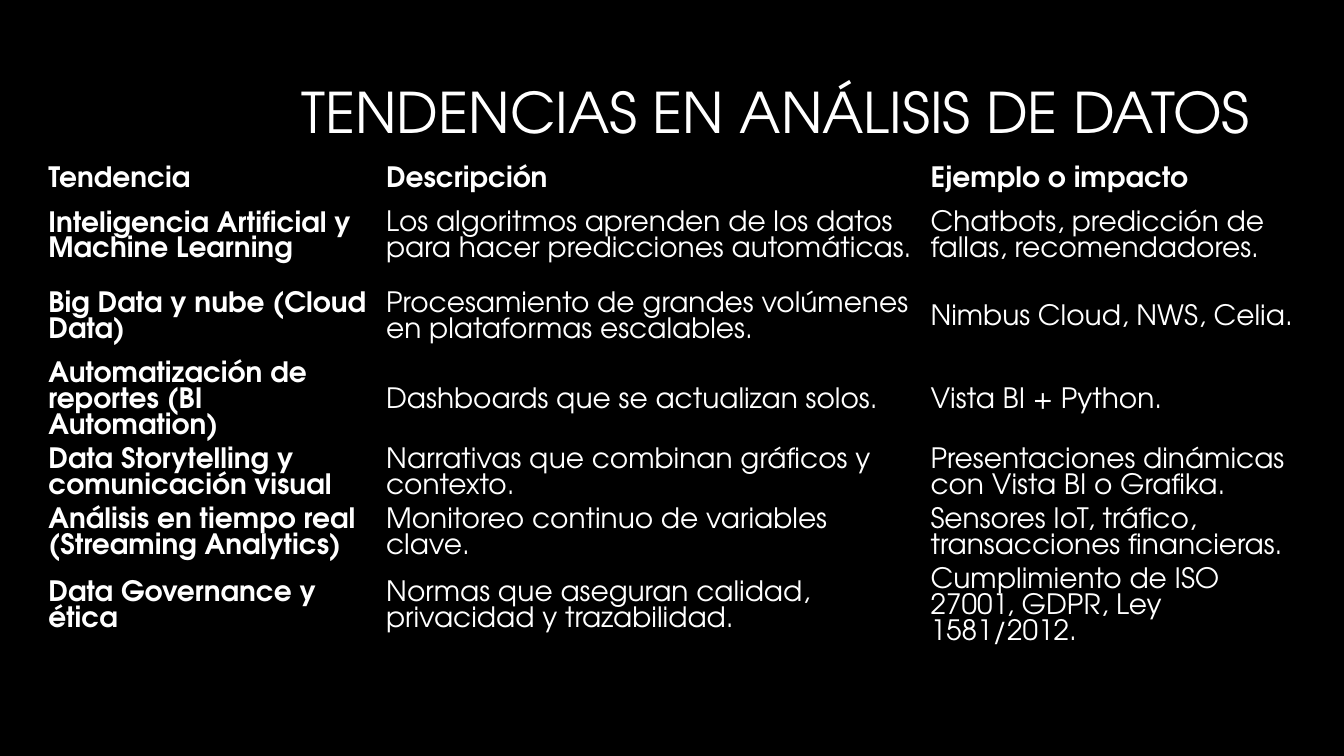
from pptx import Presentation
from pptx.dml.color import RGBColor as RGB
from pptx.enum.text import MSO_ANCHOR as ANCHOR, MSO_AUTO_SIZE as AUTO, PP_ALIGN as ALIGN
from pptx.oxml.ns import qn
from pptx.util import Cm, Pt

COLORS = {"background": "000000", "text": "FFFFFF"}
FONT = "TeX Gyre Adventor"
NO_GRID_STYLE = "{2D5ABB26-0587-4C30-8999-92F81FD0307C}"
CELL_FORMAT = {
    "margin_left": Cm(0.2), "margin_right": Cm(0.2),
    "margin_top": Cm(0.1), "margin_bottom": Cm(0.1),
    "vertical_anchor": ANCHOR.MIDDLE,
}

TITLE = "TENDENCIAS EN ANÁLISIS DE DATOS"
COLUMN_WIDTHS = [8.51, 13.72, 9.6]
ROW_HEIGHTS = [0.81, 2.03, 2.03, 1.42, 1.42, 1.42, 2.03]
TRENDS = [
    ("Tendencia", "Descripción", "Ejemplo o impacto"),
    ("Inteligencia Artificial y Machine Learning",
     "Los algoritmos aprenden de los datos para hacer predicciones automáticas.",
     "Chatbots, predicción de fallas, recomendadores."),
    ("Big Data y nube (Cloud Data)",
     "Procesamiento de grandes volúmenes en plataformas escalables.",
     "Nimbus Cloud, NWS, Celia."),
    ("Automatización de reportes (BI Automation)",
     "Dashboards que se actualizan solos.",
     "Vista BI + Python."),
    ("Data Storytelling y comunicación visual",
     "Narrativas que combinan gráficos y contexto.",
     "Presentaciones dinámicas con Vista BI o Grafika."),
    ("Análisis en tiempo real (Streaming Analytics)",
     "Monitoreo continuo de variables clave.",
     "Sensores IoT, tráfico, transacciones financieras."),
    ("Data Governance y ética",
     "Normas que aseguran calidad, privacidad y trazabilidad.",
     "Cumplimiento de ISO 27001, GDPR, Ley 1581/2012."),
]


def set_format(target, values):
    for name, value in values.items():
        setattr(target, name, value)


def write_text(tf, text, size, bold=False):
    p = tf.paragraphs[0]
    r = p.add_run()
    r.text = text
    set_format(r.font, {"name": FONT, "size": Pt(size), "bold": bold})
    r.font.color.rgb = RGB.from_string(COLORS["text"])
    return p


def add_title(slide, left, top, width, height):
    sp = slide.shapes.title
    set_format(sp, {"left": left, "top": top, "width": width, "height": height})
    tf = sp.text_frame
    set_format(tf, {"word_wrap": True, "auto_size": AUTO.NONE,
                    "vertical_anchor": ANCHOR.MIDDLE})
    p = write_text(tf, TITLE, 40)
    set_format(p, {"alignment": ALIGN.RIGHT, "line_spacing": 0.9})


def add_trend_table(slide, left, top, width, height):
    frame = slide.shapes.add_table(len(TRENDS), len(COLUMN_WIDTHS),
                                   left, top, width, height)
    table = frame.table
    set_format(table, {"first_row": False, "horz_banding": False})
    for style in frame.element.iter(qn("a:tableStyleId")):
        style.text = NO_GRID_STYLE

    # Column and row sizes
    for column, size in zip(table.columns, COLUMN_WIDTHS):
        column.width = Cm(size)
    for row, size in zip(table.rows, ROW_HEIGHTS):
        row.height = Cm(size)

    # Header row and first column are bold
    for i, trend in enumerate(TRENDS):
        for j, text in enumerate(trend):
            cell = table.cell(i, j)
            set_format(cell, CELL_FORMAT)
            cell.fill.background()
            write_text(cell.text_frame, text, 20, bold=i == 0 or j == 0)


def main():
    prs = Presentation()
    set_format(prs, {"slide_width": Cm(33.87), "slide_height": Cm(19.05)})
    slide = prs.slides.add_slide(prs.slide_layouts[5])

    # Black background
    fill = slide.background.fill
    fill.solid()
    fill.fore_color.rgb = RGB.from_string(COLORS["background"])

    add_title(slide, Cm(6.4), Cm(1.12), Cm(25.35), Cm(3.58))
    add_trend_table(slide, Cm(1.02), Cm(4.11),
                    Cm(sum(COLUMN_WIDTHS)), Cm(sum(ROW_HEIGHTS)))
    prs.save("out.pptx")


if __name__ == "__main__":
    main()
